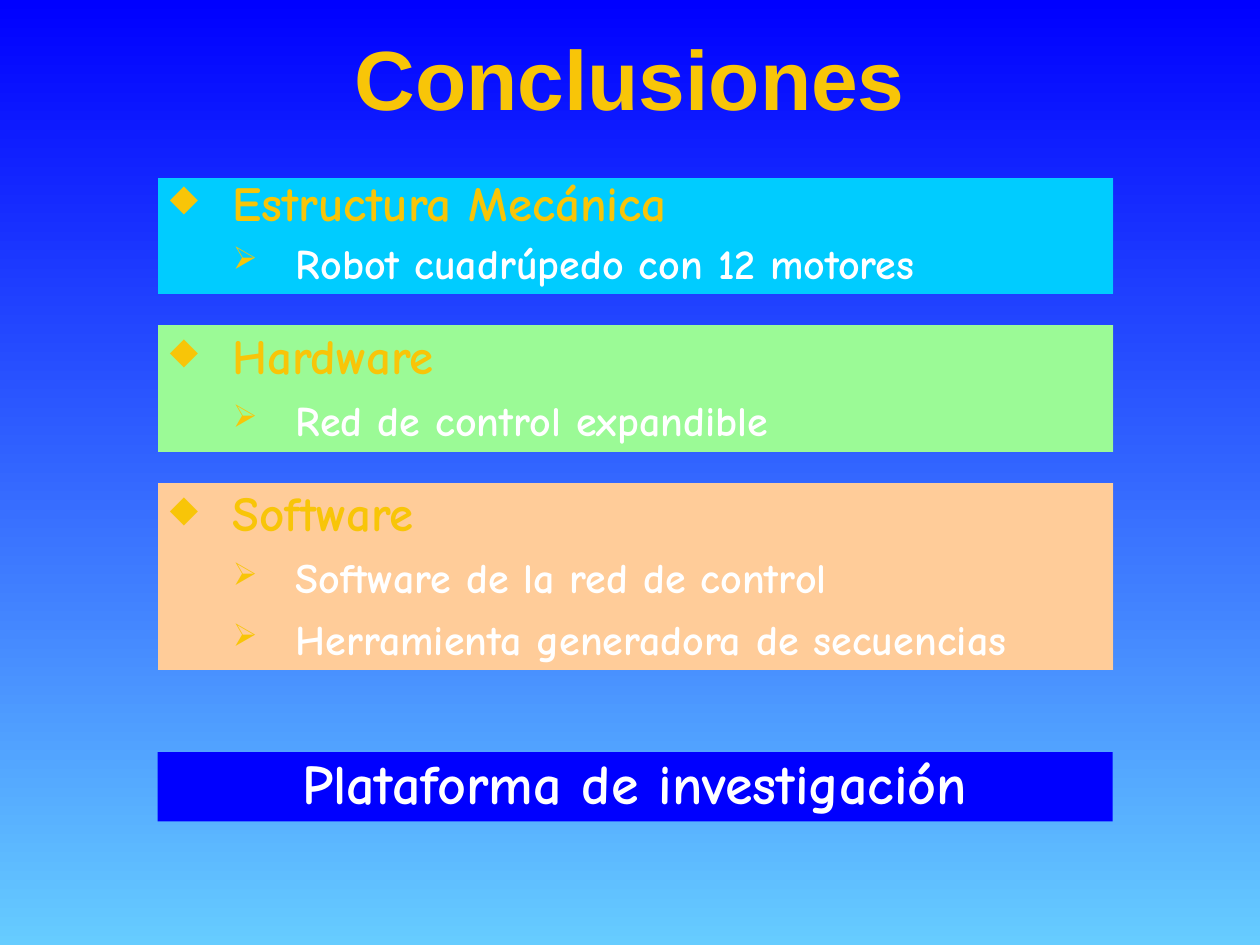
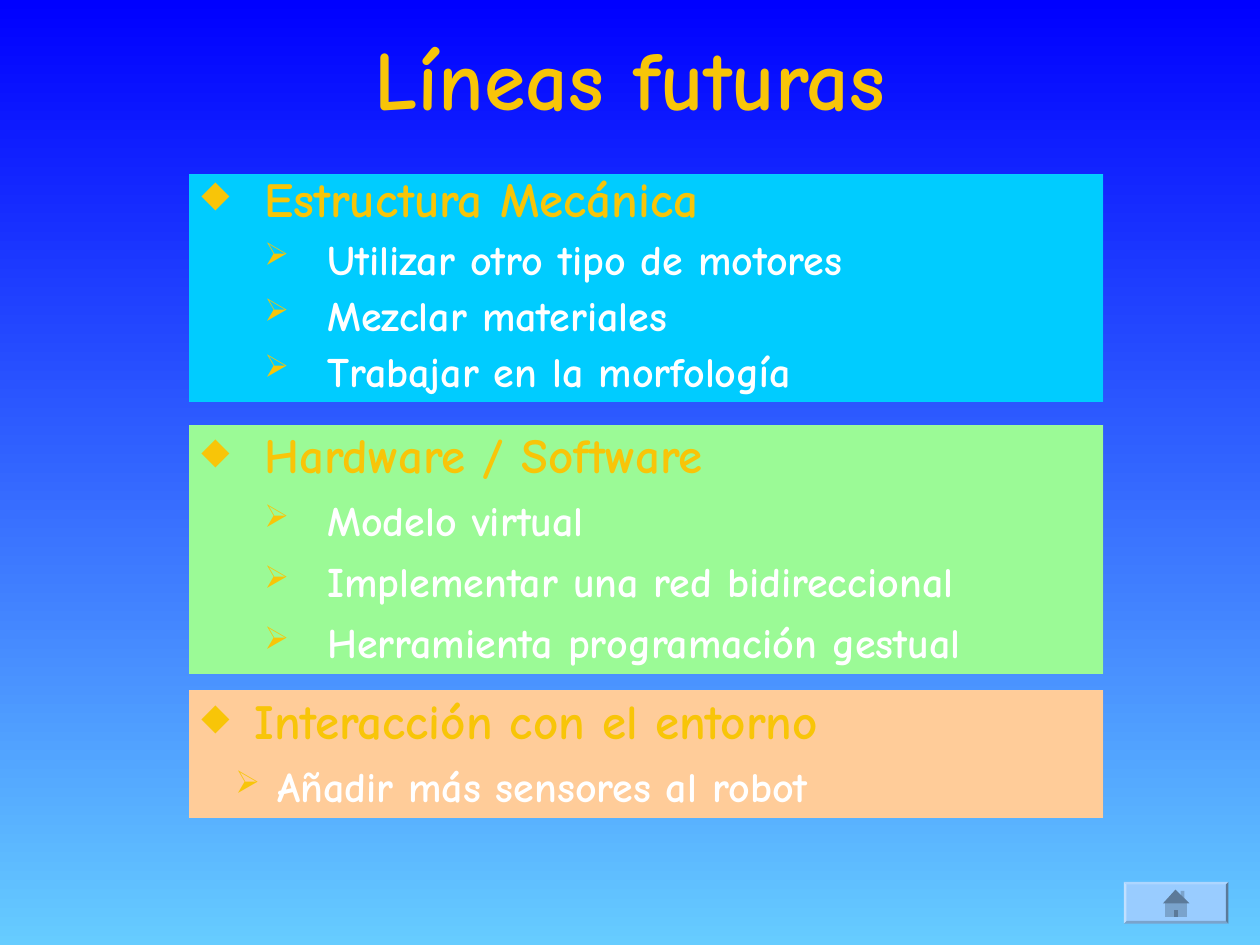
from lxml.etree import SubElement
from pptx import Presentation
from pptx.dml.color import RGBColor
from pptx.enum.shapes import MSO_SHAPE
from pptx.enum.text import MSO_ANCHOR, MSO_AUTO_SIZE, PP_ALIGN
from pptx.oxml.ns import qn
from pptx.util import Inches, Pt

COLORS = {
    "sky top": "0000FF", "sky bottom": "66CCFF", "gold": "F8C508", "white": "FFFFFF",
    "mechanics": "00CCFF", "hardware": "9BFA96", "software": "FFCC99",
    "button": "99CCFF", "roof": "5C7A99", "wall": "7AA3CC",
}
MAIN_FONT = "Comic Neue"
BULLETS = ["◆", "➢"]
TOPIC_INDENTS = [(0.5, -0.5), (1, -0.5)]
NARROW_INDENTS = [(0.42, -0.42), (0.6, -0.33)]

# Each topic: colour, top and height in grid units, line spacing, indents, lines
SLIDES = [
    {"title": "Conclusiones", "font": "Arial", "left": 12.5, "width": 75.8, "topics": [
        ("mechanics", 14.1, 9.2, 0.8, TOPIC_INDENTS,
         ["Estructura Mecánica", "Robot cuadrúpedo con 12 motores"]),
        ("hardware", 25.8, 10.1, 0.9, TOPIC_INDENTS,
         ["Hardware", "Red de control expandible"]),
        ("software", 38.3, 14.9, 0.9, TOPIC_INDENTS,
         ["Software", "Software de la red de control",
          "Herramienta generadora de secuencias"]),
    ]},
    {"title": "Líneas futuras", "font": MAIN_FONT, "left": 15, "width": 72.5, "topics": [
        ("mechanics", 13.8, 18.1, 0.8, TOPIC_INDENTS,
         ["Estructura Mecánica", "Utilizar otro tipo de motores", "Mezclar materiales",
          "Trabajar en la morfología"]),
        ("hardware", 33.7, 19.8, 0.9, TOPIC_INDENTS,
         ["Hardware / Software", "Modelo virtual", "Implementar una red bidireccional",
          "Herramienta programación gestual"]),
        ("software", 54.8, 10.1, 0.9, NARROW_INDENTS,
         ["Interacción con el entorno", "Añadir más sensores al robot"]),
    ]},
]

prs = Presentation()
prs.slide_width, prs.slide_height = Inches(10), Inches(7.5)
UNIT = prs.slide_width / 100  # the grid has 100 columns and 75 rows


def write(frame, text, *, size, color, font=MAIN_FONT, align=PP_ALIGN.LEFT,
          spacing=0.9, before=0, level=0, indents=None):
    """Append a bold paragraph; indents (margin, first line) per level add a bullet."""
    paragraph = frame.paragraphs[0]
    if paragraph.runs:
        paragraph = frame.add_paragraph()
    paragraph.level = level
    if indents:
        properties = paragraph._p.get_or_add_pPr()
        margin, first_line = indents[level]
        properties.set("marL", str(Inches(margin)))
        properties.set("indent", str(Inches(first_line)))
        bullet_color = SubElement(properties, qn("a:buClr"))
        SubElement(bullet_color, qn("a:srgbClr"), val=COLORS["gold"])
        SubElement(properties, qn("a:buSzPct"), val="75000")
        SubElement(properties, qn("a:buChar"), char=BULLETS[level])
    paragraph.alignment = align
    paragraph.line_spacing = spacing
    paragraph.space_before = Pt(before)
    run = paragraph.add_run()
    run.text = text
    run.font.name, run.font.size, run.font.bold = font, Pt(size), True
    run.font.color.rgb = RGBColor.from_string(COLORS[color])


def paint(shape, color):
    shape.shadow.inherit = False
    shape.fill.solid()
    shape.fill.fore_color.rgb = RGBColor.from_string(COLORS[color])
    shape.line.fill.background()


# Shared background
sky = prs.slide_master.background.fill
sky.gradient()
sky.gradient_angle = 270
for stop, position, color in zip(sky.gradient_stops, (0, 1), ("sky top", "sky bottom")):
    stop.position = position
    stop.color.rgb = RGBColor.from_string(COLORS[color])

# Titles and topic boxes
for content in SLIDES:
    slide = prs.slides.add_slide(prs.slide_layouts[5])
    title = slide.shapes.title
    title.left, title.top, title.width, title.height = (
        round(share * UNIT) for share in (7.5, 2.5, 85, 8.2))
    title.text_frame.auto_size = MSO_AUTO_SIZE.NONE
    title.text_frame.vertical_anchor = MSO_ANCHOR.TOP
    write(title.text_frame, content["title"], size=48, color="gold",
          font=content["font"], align=PP_ALIGN.CENTER)

    for color, top, height, spacing, indents, lines in content["topics"]:
        topic = slide.shapes.add_shape(MSO_SHAPE.CUBE, *(
            round(share * UNIT) for share in (content["left"], top, content["width"], height)))
        topic.adjustments[0] = 0
        paint(topic, color)
        topic.text_frame.word_wrap = True
        topic.text_frame.vertical_anchor = MSO_ANCHOR.MIDDLE
        heading, *points = lines
        write(topic.text_frame, heading, size=28, color="gold", spacing=spacing,
              indents=indents)
        for point in points:
            write(topic.text_frame, point, size=24, color="white", spacing=spacing,
                  before=9, level=1, indents=indents)

# Closing statement of the conclusions
conclusions, future = prs.slides
statement = conclusions.shapes.add_shape(MSO_SHAPE.RECTANGLE, *(
    round(share * UNIT) for share in (12.5, 59.7, 75.8, 5.5)))
paint(statement, "sky top")
statement.text_frame.word_wrap = True
statement.text_frame.vertical_anchor = MSO_ANCHOR.TOP
write(statement.text_frame, "Plataforma de investigación", size=32, color="white",
      align=PP_ALIGN.CENTER, spacing=0.85)

# Home button of the future lines
button = future.shapes.add_shape(MSO_SHAPE.BEVEL, *(
    round(share * UNIT) for share in (89.2, 70, 8.3, 3.3)))
button.adjustments[0] = 0.06
paint(button, "button")

# House outlines in tenths of a grid unit
HOUSE = [
    ("wall", [(937, 710), (937, 707), (940, 707), (940, 713)]),
    ("wall", [(925, 717), (942, 717), (942, 728), (925, 728)]),
    ("roof", [(933, 706), (944, 717), (923, 717)]),
    ("roof", [(932, 722), (935, 722), (935, 728), (932, 728)]),
]
for color, (start, *corners) in HOUSE:
    outline = future.shapes.build_freeform(*start, scale=UNIT / 10)
    outline.add_line_segments(corners, close=True)
    paint(outline.convert_to_shape(), color)

prs.save("out.pptx")
